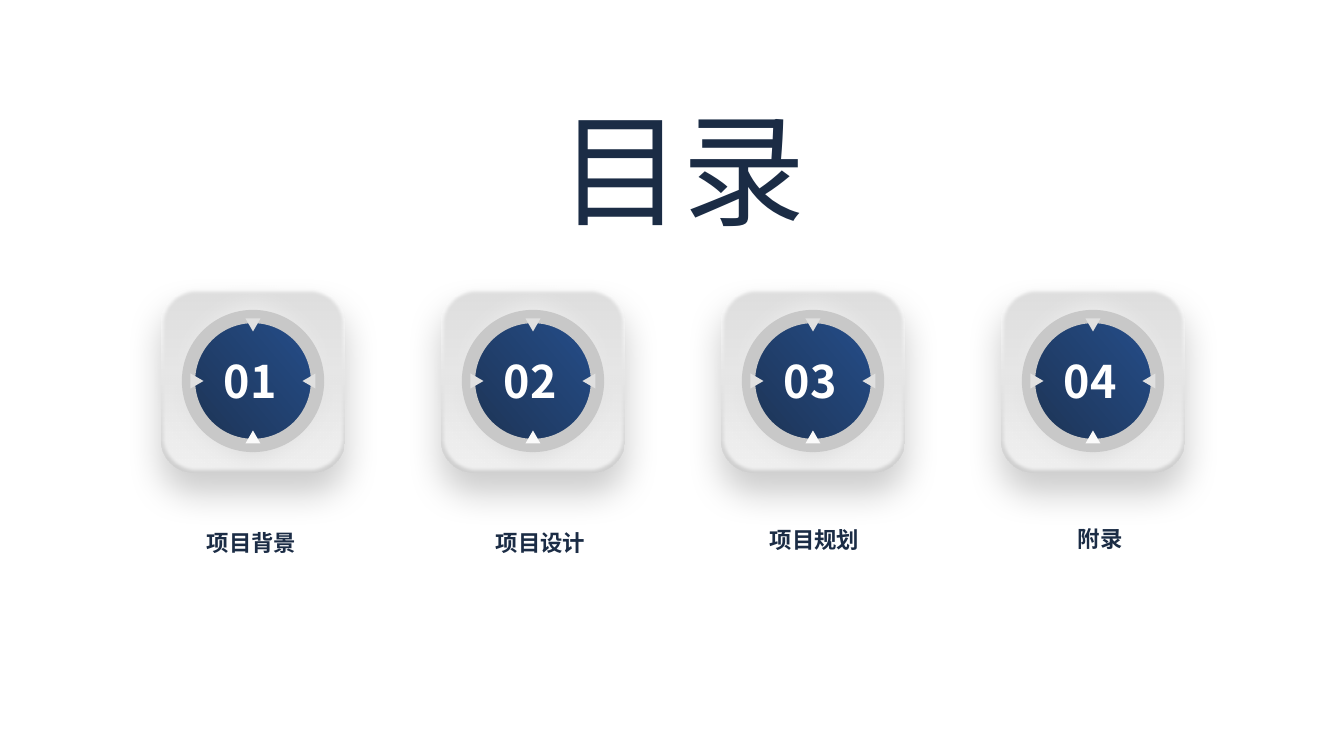
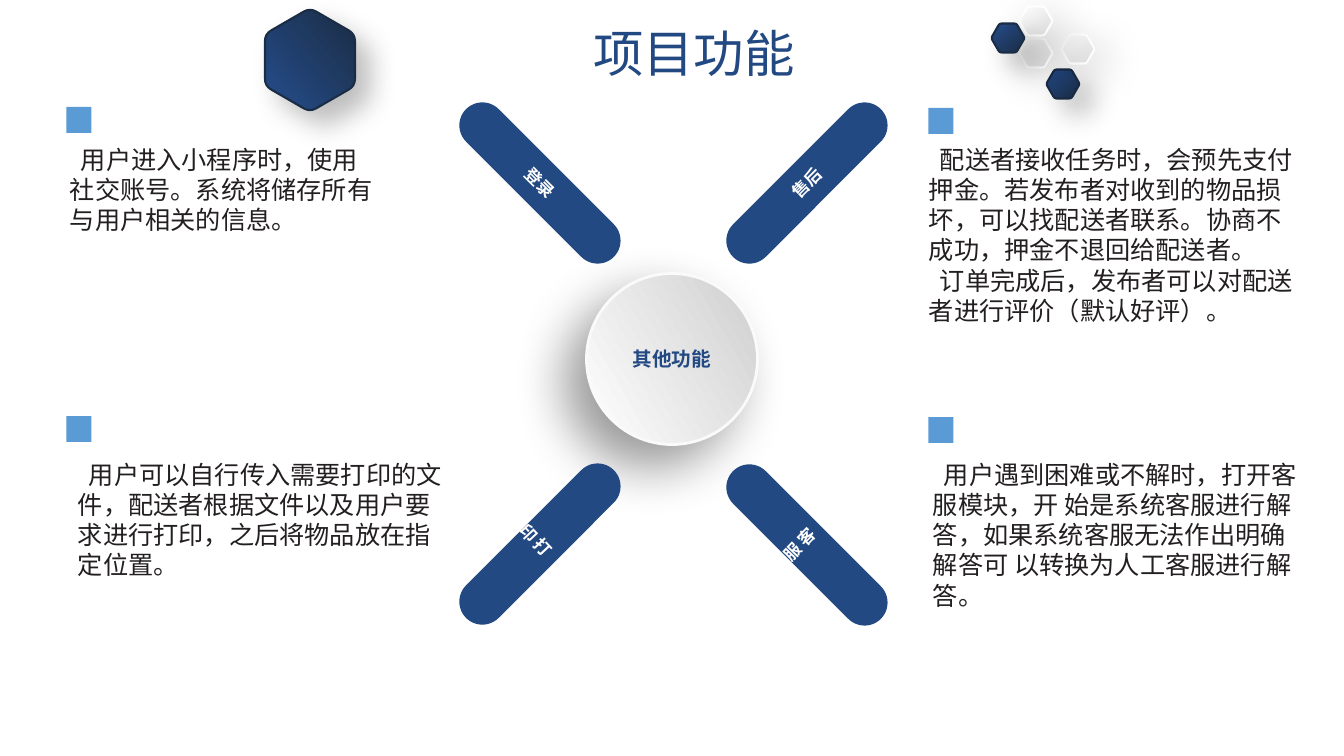
from math import cos, radians, sin, sqrt

from lxml.etree import SubElement
from pptx import Presentation
from pptx.dml.color import RGBColor
from pptx.enum.shapes import MSO_SHAPE
from pptx.enum.text import MSO_ANCHOR, MSO_AUTO_SIZE, PP_ALIGN
from pptx.oxml.ns import qn
from pptx.util import Pt

SCALE = 12192000 / 1344  # EMU per pixel
CJK = "Noto Sans CJK SC"
COLORS = {
    "navy": "1B2C45", "royal": "254E8C", "badge": "1D3353", "badge_light": "254E8B",
    "blue": "234983", "marker": "5B9BD5", "ink": "231F20", "white": "FFFFFF",
    "ring": "C8C8C8", "edge": "FAFAFA", "snow": "FEFEFE", "fog": "DDDDDD",
    "card_hi": "FCFCFC", "card_lo": "CFCFCF", "face_hi": "DEDEDE", "face_lo": "F2F2F2",
    "glow_hi": "F7F7F7", "glow_lo": "D4D4D4", "tip": "E0E0E0", "black": "000000",
}


def px(n):
    return round(n * SCALE)


def rgb(name):
    return RGBColor.from_string(COLORS[name])


def write(tf, text, size=18, color="ink", font="Calibri", bold=False,
          align=PP_ALIGN.LEFT, anchor=MSO_ANCHOR.TOP, wrap=True, grow=True, indent=0):
    """Fill a text frame, one paragraph for each line of text."""
    tf.word_wrap = wrap
    tf.auto_size = MSO_AUTO_SIZE.SHAPE_TO_FIT_TEXT if grow else MSO_AUTO_SIZE.NONE
    tf.vertical_anchor = anchor
    for i, line in enumerate(text.split("\n")):
        p = tf.add_paragraph() if i else tf.paragraphs[0]
        p.alignment = align
        if indent:
            pPr = p._p.get_or_add_pPr()
            pPr.set("marL", "0")
            pPr.set("indent", str(px(indent)))
        r = p.add_run()
        r.text = line
        r.font.size, r.font.bold, r.font.name = Pt(size), bold, font
        r.font.color.rgb = rgb(color)
        SubElement(r._r.get_or_add_rPr(), qn("a:ea"), typeface=CJK)


class Deck:
    def __init__(self):
        self.prs = Presentation()
        self.prs.slide_width, self.prs.slide_height = px(1344), px(756)
        self.s = None

    def slide(self, title, x, y, w, h, **fmt):
        self.s = self.prs.slides.add_slide(self.prs.slide_layouts[5])
        sp = self.s.shapes.title
        sp.left, sp.top, sp.width, sp.height = map(px, (x, y, w, h))
        write(sp.text_frame, title, wrap=False, **fmt)

    def text(self, text, x, y, w, h, rot=0, vertical=False, **fmt):
        sp = self.s.shapes.add_textbox(*map(px, (x, y, w, h)))
        sp.rotation = rot
        write(sp.text_frame, text, **fmt)
        if vertical:
            sp.text_frame._txBody.bodyPr.set("vert", "eaVert")

    def style(self, sp, fill, angle=0, line=None, shadow=None, soft=0):
        """fill: colour or pair; line: colour, points; shadow: alpha, blur, distance, angle."""
        if isinstance(fill, tuple):
            sp.fill.gradient()
            sp.fill.gradient_angle = 360 - angle
            for stop, name in zip(sp.fill.gradient_stops, fill):
                stop.color.rgb = rgb(name)
        else:
            sp.fill.solid()
            sp.fill.fore_color.rgb = rgb(fill)
        if line:
            sp.line.color.rgb, sp.line.width = rgb(line[0]), Pt(line[1])
        else:
            sp.line.fill.background()
        sp.shadow.inherit = False
        effects = sp._element.spPr.find(qn("a:effectLst"))
        if shadow:
            alpha, blur, dist, direction = shadow
            node = SubElement(effects, qn("a:outerShdw"), blurRad=str(Pt(blur)),
                              dist=str(Pt(dist)), dir=str(direction * 60000),
                              algn="ctr", rotWithShape="0")
            clr = SubElement(node, qn("a:srgbClr"), val=COLORS["black"])
            SubElement(clr, qn("a:alpha"), val=str(alpha * 1000))
        if soft:
            SubElement(effects, qn("a:softEdge"), rad=str(Pt(soft)))

    def shape(self, kind, cx, cy, w, h, fill, rot=0, adj=None, text=None, fmt=None, **style):
        """Preset shape placed by its centre."""
        sp = self.s.shapes.add_shape(kind, *map(px, (cx - w / 2, cy - h / 2, w, h)))
        sp.rotation = rot
        if adj is not None:
            sp.adjustments[0] = adj
        self.style(sp, fill, **style)
        if text:
            write(sp.text_frame, text, bold=True, align=PP_ALIGN.CENTER,
                  anchor=MSO_ANCHOR.MIDDLE, grow=False, **fmt)

    def hexagon(self, cx, cy, flat, start, **style):
        """Round-cornered hexagon: flat is the distance between opposite sides."""
        radius = flat / sqrt(3)
        corners = [(cx + radius * cos(radians(start + 60 * i)),
                    cy + radius * sin(radians(start + 60 * i))) for i in range(6)]
        points = []
        for i, corner in enumerate(corners):
            before, after = corners[i - 1], corners[(i + 1) % 6]
            for t in (0, 0.25, 0.5, 0.75, 1):
                a, b = 0.14 * (1 - t) ** 2, 0.14 * t ** 2
                points.append(tuple(px(c + a * (m - c) + b * (n - c))
                                    for c, m, n in zip(corner, before, after)))
        builder = self.s.shapes.build_freeform(*points[0], scale=1.0)
        builder.add_line_segments(points[1:], close=True)
        self.style(builder.convert_to_shape(), **style)

    def badge(self, number, cx, cy):
        card = (MSO_SHAPE.ROUNDED_RECTANGLE, cx, cy, 184, 184)
        self.shape(*card, ("card_hi", "card_lo"), adj=0.18, angle=90, shadow=(20, 25, 15, 90))
        self.shape(*card, ("face_hi", "face_lo"), adj=0.18, angle=90, soft=2.5)
        self.shape(MSO_SHAPE.OVAL, cx, cy, 204, 204, ("glow_hi", "glow_lo"), angle=90, soft=18)
        self.shape(MSO_SHAPE.OVAL, cx, cy, 129, 129, ("badge", "badge_light"),
                   angle=320, line=("ring", 9.5))
        for dx, dy, rot, color in ((-56, 0, 90, "tip"), (56, 0, 270, "tip"),
                                   (0, -56, 180, "tip"), (0, 56, 0, "edge")):
            self.shape(MSO_SHAPE.ISOSCELES_TRIANGLE, cx + dx, cy + dy, 15, 13, color, rot=rot)
        self.text(number, cx - 39, cy - 32, 79, 65, size=32, color="white",
                  font=CJK, bold=True, wrap=False)


deck = Deck()

# Contents
deck.slide("目录", 549, 88, 269, 159, size=88, color="navy")
entries = (("项目背景", 197, 524, 112), ("项目设计", 486, 524, 112),
           ("项目规划", 760, 521, 112), ("附录", 1068, 520, 66))
for i, (label, x, y, w) in enumerate(entries):
    deck.badge(f"{i + 1:02d}", 253 + 280 * i, 381)
    deck.text(label, x, y, w, 57, size=16, color="navy", font="Noto Sans CJK JP",
              bold=True, wrap=False)

# Project functions
deck.slide("项目功能", 583, 17, 224, 112, size=36, color="blue", font=CJK)

# Hexagon ornaments
dark = dict(fill=("navy", "royal"), line=("navy", 1.5), shadow=(25, 20, 15, 45))
light = dict(fill=("fog", "snow"), line=("snow", 1.5), shadow=(20, 30, 10, 45))
for cx, cy, look in ((1063, 84, dark), (1078, 49, light), (1036, 53, light),
                     (1036, 21, light), (1008, 38, dark)):
    deck.hexagon(cx, cy, 29, 0, angle=230, **look)
deck.hexagon(310, 60, 90, 30, angle=140, **dark)

# Hub and four arms
deck.shape(MSO_SHAPE.OVAL, 672, 359, 171, 171, ("white", "card_lo"), angle=330,
           line=("edge", 2), shadow=(40, 38, 22, 135), text="其他功能",
           fmt=dict(size=14, color="blue"))
arm_text = dict(size=12, color="white")
for cx, cy, rot, label in ((540, 183, 45, "登录"), (807, 183, 315, "售后"),
                           (807, 545, 45, None), (540, 544, 315, None)):
    deck.shape(MSO_SHAPE.ROUNDED_RECTANGLE, cx, cy, 209, 46, "blue", rot=rot, adj=0.5,
               text=label, fmt=arm_text)
for label, x, y, rot in (("客服", 786, 522, 313.9), ("打印", 516, 524, 46.9)):
    deck.text(label, x, y, 40, 44, rot=rot, vertical=True, bold=True, **arm_text)

# Descriptions with markers
for cx, cy in ((79, 120), (79, 429), (941, 121), (941, 430)):
    deck.shape(MSO_SHAPE.RECTANGLE, cx, cy, 25, 26, "marker")
notes = (
    (60, 139, 332, 102, "用户进入小程序时，使用社交账号。系统将储存所有与用户相关的信息。"),
    (919, 139, 387, 194, "配送者接收任务时，会预先支付押金。若发布者对收到的物品损坏，可以找配送者联系。"
     "协商不成功，押金不退回给配送者。\n订单完成后，发布者可以对配送者进行评价（默认好评）。"),
    (68, 454, 387, 132, "用户可以自行传入需要打印的文件，配送者根据文件以及用户要求进行打印，"
     "之后将物品放在指定位置。"),
    (923, 454, 387, 163, "用户遇到困难或不解时，打开客服模块，开 始是系统客服进行解答，"
     "如果系统客服无法作出明确解答可 以转换为人工客服进行解答。"),
)
for x, y, w, h, body in notes:
    deck.text(body, x, y, w, h, font="Arial", indent=11)

deck.prs.save("out.pptx")
